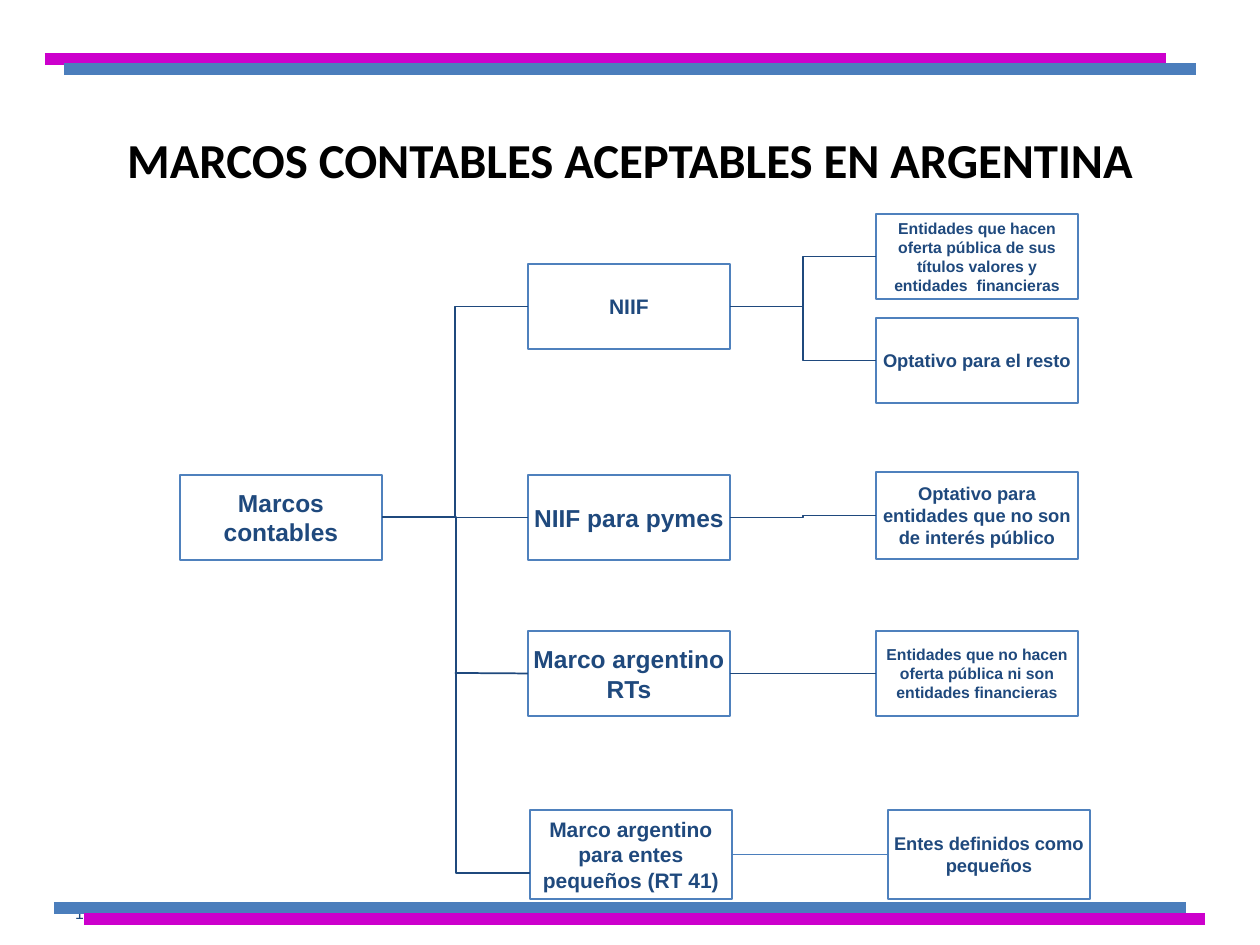
"""Build a slide with a tree of the accounting frameworks accepted in Argentina."""
from lxml import etree
from pptx import Presentation
from pptx import util as u
from pptx.dml.color import RGBColor
from pptx.enum import shapes, text
from pptx.oxml.ns import qn

PX = 914400 / 126
NAVY = RGBColor(0x1F, 0x49, 0x7D)
BORDER = RGBColor(0x4F, 0x81, 0xBD)
BLUE = RGBColor(0x4B, 0x7E, 0xBC)
MAGENTA = RGBColor(0xCC, 0x00, 0xCC)
BLACK = RGBColor(0, 0, 0)
WHITE = RGBColor(0xFF, 0xFF, 0xFF)
STRAIGHT = shapes.MSO_CONNECTOR.STRAIGHT
ELBOW = shapes.MSO_CONNECTOR.ELBOW


def px(*lengths):
    return [u.Emu(round(length * PX)) for length in lengths]


def add_line(page, kind, ends, color, width):
    line = page.shapes.add_connector(kind, *px(*ends))
    line.line.color.rgb = color
    line.line.width = u.Pt(width)
    etree.SubElement(line._element.spPr, qn("a:effectLst"))
    return line


deck = Presentation()
deck.slide_width, deck.slide_height = px(1260, 945)
page = deck.slides.add_slide(deck.slide_layouts[5])

title = page.shapes.title
title.left, title.top, title.width, title.height = px(63, 38, 1134, 157)
title.text_frame.vertical_anchor = text.MSO_ANCHOR.BOTTOM
para = title.text_frame.paragraphs[0]
para.alignment = text.PP_ALIGN.CENTER
span = para.add_run()
span.text = "MARCOS CONTABLES ACEPTABLES EN ARGENTINA"
span.font.name = "Calibri"
span.font.size = u.Pt(27.9)
span.font.bold = True
span.font.color.rgb = BLACK

number = page.shapes.add_textbox(*px(57, 903, 48, 20))
frame = number.text_frame
frame.word_wrap = True
frame.vertical_anchor = text.MSO_ANCHOR.MIDDLE
para = frame.paragraphs[0]
para.alignment = text.PP_ALIGN.RIGHT
span = para.add_run()
span.text = "16"
span.font.name = "Arial"
span.font.size = u.Pt(9)
span.font.color.rgb = NAVY

BOX_WIDTH = 202
nodes = [
    ("root", 180, 475, 85, 14, ["Marcos contables"]),
    ("niif", 528, 264, 85, 12, ["NIIF"]),
    ("pymes", 528, 475, 85, 14, ["NIIF para pymes"]),
    ("rts", 528, 631, 85, 14, ["Marco argentino", "RTs"]),
    ("rt41", 530, 810, 89, 12, ["Marco argentino para entes pequeños (RT 41)"]),
    ("public", 876, 214, 85, 9,
     ["Entidades que hacen oferta pública de sus títulos valores y entidades  financieras"]),
    ("rest", 876, 318, 85, 10.5, ["Optativo para el resto"]),
    ("optional", 876, 472, 87, 10.5, ["Optativo para entidades que no son de interés público"]),
    ("private", 876, 631, 85, 9,
     ["Entidades que no hacen oferta pública ni son entidades financieras"]),
    ("small", 888, 810, 89, 10.5, ["Entes definidos como pequeños"]),
]
boxes = {}
for name, left, top, height, size, lines in nodes:
    box = page.shapes.add_shape(
        shapes.MSO_SHAPE.RECTANGLE, *px(left, top, BOX_WIDTH, height))
    box.shadow.inherit = False
    box.fill.solid()
    box.fill.fore_color.rgb = WHITE
    box.line.color.rgb = BORDER
    box.line.width = u.Pt(1.5)
    frame = box.text_frame
    frame.word_wrap = True
    frame.vertical_anchor = text.MSO_ANCHOR.MIDDLE
    frame.margin_left, frame.margin_top, frame.margin_right, frame.margin_bottom = px(5, 5, 5, 5)
    for index, line_text in enumerate(lines):
        para = frame.add_paragraph() if index else frame.paragraphs[0]
        para.alignment = text.PP_ALIGN.CENTER
        span = para.add_run()
        span.text = line_text
        span.font.name = "Arial"
        span.font.size = u.Pt(size)
        span.font.bold = True
        span.font.color.rgb = NAVY
    boxes[name] = box

links = [
    ("root", "niif", ELBOW, NAVY, 1),
    ("root", "pymes", STRAIGHT, NAVY, 1),
    ("niif", "public", ELBOW, NAVY, 1),
    ("niif", "rest", ELBOW, NAVY, 1),
    ("pymes", "optional", ELBOW, NAVY, 1),
    ("rts", "private", STRAIGHT, NAVY, 1),
    ("rt41", "small", STRAIGHT, BLUE, 0.75),
]
for source, target, kind, color, width in links:
    link = add_line(page, kind, (0, 0, 0, 0), color, width)
    link.begin_connect(boxes[source], 3)
    link.end_connect(boxes[target], 1)

add_line(page, ELBOW, (382, 517, 530, 873), NAVY, 1)
branch = add_line(page, STRAIGHT, (455, 673, 528, 673), NAVY, 1)
branch.end_connect(boxes["rts"], 1)

bars = [
    (45, 1166, 59, MAGENTA),
    (64, 1196, 69, BLUE),
    (54, 1186, 908, BLUE),
    (84, 1205, 919, MAGENTA),
]
for left, right, y, color in bars:
    add_line(page, STRAIGHT, (left, y, right, y), color, 6.75)

deck.save("out.pptx")
